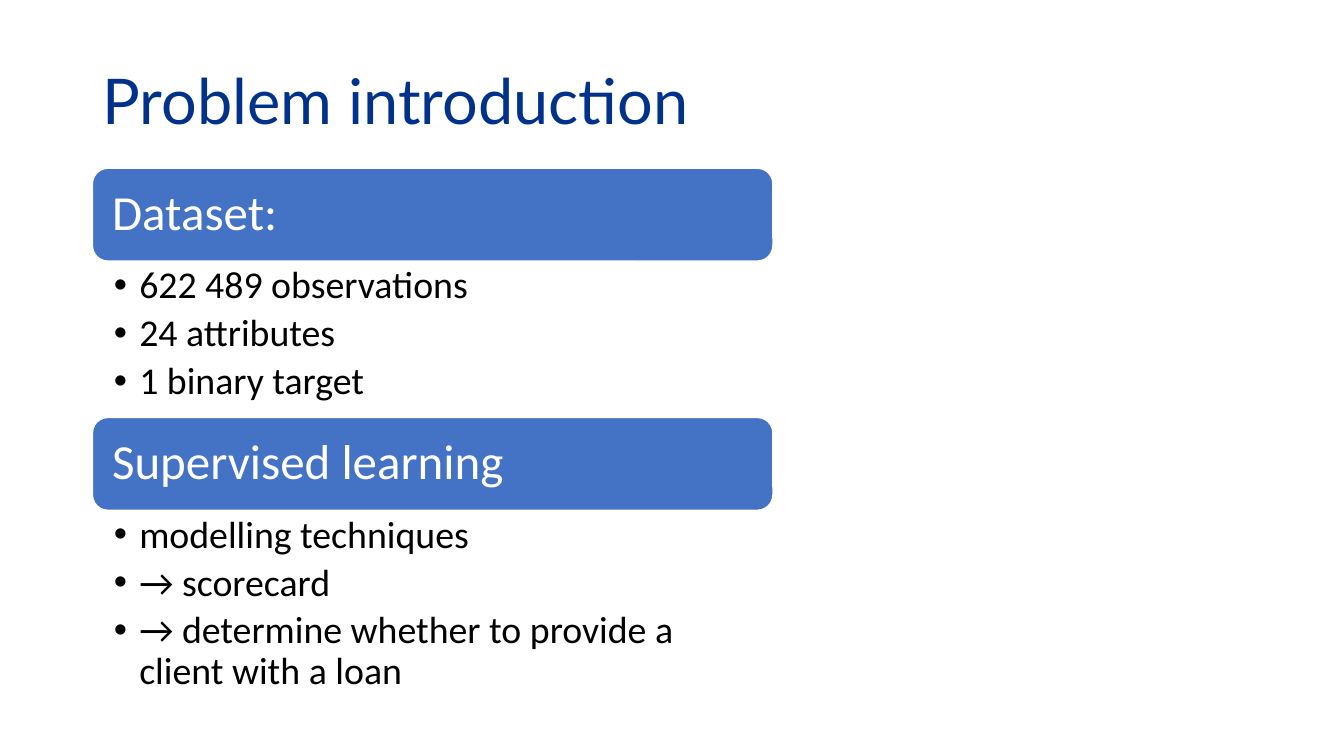
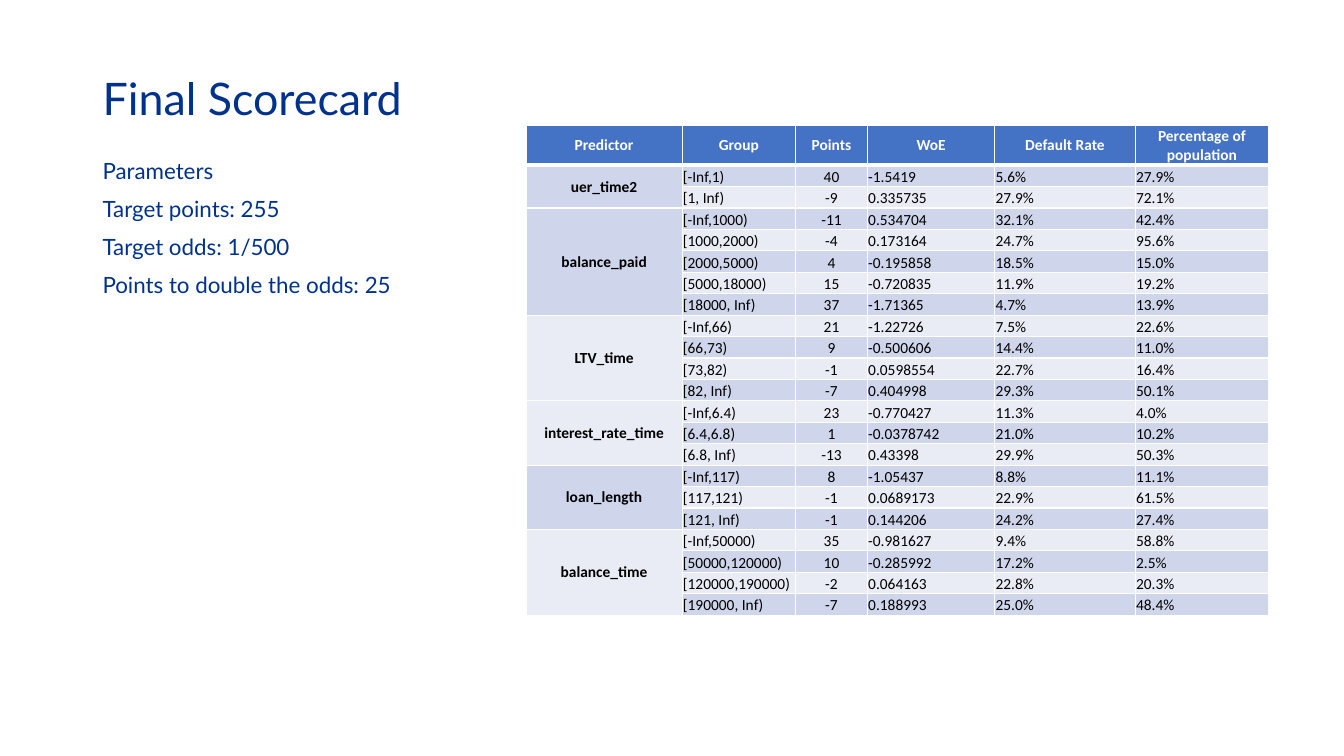
import pptx
import pptx.util
import pptx.dml.color
import pptx.enum.shapes
import pptx.enum.text
import pptx.oxml
import pptx.oxml.ns

Cm = pptx.util.Cm
Pt = pptx.util.Pt
ALIGN = pptx.enum.text.PP_ALIGN
ANCHOR = pptx.enum.text.MSO_ANCHOR

NAVY, BLUE, WHITE, BLACK = "00328C", "4472C4", "FFFFFF", "000000"
BANDS = ("E9EBF5", "CFD5EA")
HEAD_FONT, BODY_FONT = "Lato", "Calibri"

SECTIONS = [
    ("Dataset:", 3.94,
     ["622 489 observations", "24 attributes", "1 binary target"]),
    ("Supervised learning", 4.93,
     ["modelling techniques", "→ scorecard",
      "→ determine whether to provide a client with a loan"]),
]

PARAMETERS = ["Parameters", "Target points: 255", "Target odds: 1/500",
              "Points to double the odds: 25"]

HEADERS = ["Predictor", "Group", "Points", "WoE", "Default Rate",
           "Percentage of population"]
COLUMN_WIDTHS = [3.93, 2.86, 1.81, 3.21, 3.54, 3.36]
POINTS_COLUMN = 2

SCORECARD = {
    "uer_time2": [
        ("[-Inf,1)", "40", "-1.5419", "5.6%", "27.9%"),
        ("[1, Inf)", "-9", "0.335735", "27.9%", "72.1%"),
    ],
    "balance_paid": [
        ("[-Inf,1000)", "-11", "0.534704", "32.1%", "42.4%"),
        ("[1000,2000)", "-4", "0.173164", "24.7%", "95.6%"),
        ("[2000,5000)", "4", "-0.195858", "18.5%", "15.0%"),
        ("[5000,18000)", "15", "-0.720835", "11.9%", "19.2%"),
        ("[18000, Inf)", "37", "-1.71365", "4.7%", "13.9%"),
    ],
    "LTV_time": [
        ("[-Inf,66)", "21", "-1.22726", "7.5%", "22.6%"),
        ("[66,73)", "9", "-0.500606", "14.4%", "11.0%"),
        ("[73,82)", "-1", "0.0598554", "22.7%", "16.4%"),
        ("[82, Inf)", "-7", "0.404998", "29.3%", "50.1%"),
    ],
    "interest_rate_time": [
        ("[-Inf,6.4)", "23", "-0.770427", "11.3%", "4.0%"),
        ("[6.4,6.8)", "1", "-0.0378742", "21.0%", "10.2%"),
        ("[6.8, Inf)", "-13", "0.43398", "29.9%", "50.3%"),
    ],
    "loan_length": [
        ("[-Inf,117)", "8", "-1.05437", "8.8%", "11.1%"),
        ("[117,121)", "-1", "0.0689173", "22.9%", "61.5%"),
        ("[121, Inf)", "-1", "0.144206", "24.2%", "27.4%"),
    ],
    "balance_time": [
        ("[-Inf,50000)", "35", "-0.981627", "9.4%", "58.8%"),
        ("[50000,120000)", "10", "-0.285992", "17.2%", "2.5%"),
        ("[120000,190000)", "-2", "0.064163", "22.8%", "20.3%"),
        ("[190000, Inf)", "-7", "0.188993", "25.0%", "48.4%"),
    ],
}


def rgb(color):
    return pptx.dml.color.RGBColor.from_string(color)


def place(sp, left, top, width, height):
    sp.left, sp.top, sp.width, sp.height = map(Cm, (left, top, width, height))


def set_insets(target, left, top, right, bottom):
    target.margin_left, target.margin_top = Cm(left), Cm(top)
    target.margin_right, target.margin_bottom = Cm(right), Cm(bottom)


def format_text(tf, size, font, color, bold=False, align=ALIGN.LEFT,
                spacing=0.9, before=0, after=0):
    for p in tf.paragraphs:
        p.alignment = align
        p.line_spacing = spacing
        p.space_before, p.space_after = Pt(before), Pt(after)
        for r in p.runs:
            r.font.size, r.font.name, r.font.bold = Pt(size), font, bold
            r.font.color.rgb = rgb(color)


def set_bullets(tf, indent=0, char=None):
    for p in tf.paragraphs:
        pPr = p._p.get_or_add_pPr()
        pPr.set("marL", str(Cm(indent)))
        pPr.set("indent", str(-Cm(indent)))
        tag = f'a:buChar char="{char}"' if char else "a:buNone"
        pPr.append(pptx.oxml.parse_xml(
            f'<{tag} {pptx.oxml.ns.nsdecls("a")}/>'))


def fill_title(s, text, size, box):
    sp = s.shapes.title
    place(sp, *box)
    tf = sp.text_frame
    tf.text = text
    tf.auto_size = pptx.enum.text.MSO_AUTO_SIZE.NONE
    tf.vertical_anchor = ANCHOR.BOTTOM
    format_text(tf, size, HEAD_FONT, NAVY)


def fill_list(sp, lines, box):
    place(sp, *box)
    tf = sp.text_frame
    tf.text = "\n".join(lines)
    tf.auto_size = pptx.enum.text.MSO_AUTO_SIZE.NONE
    tf.vertical_anchor = ANCHOR.TOP
    return tf


def add_section(s, body, heading, lines, left, top, width, bar, height):
    sp = s.shapes.add_shape(
        pptx.enum.shapes.MSO_SHAPE.ROUNDED_RECTANGLE,
        Cm(left), Cm(top), Cm(width), Cm(bar))
    sp.shadow.inherit = False
    sp.fill.solid()
    sp.fill.fore_color.rgb = rgb(BLUE)
    sp.line.color.rgb = rgb(WHITE)
    sp.line.width = Pt(1)
    tf = sp.text_frame
    tf.text = heading
    tf.vertical_anchor = ANCHOR.MIDDLE
    set_insets(tf, 0.38, 0.38, 0.38, 0.38)
    format_text(tf, 35, BODY_FONT, WHITE)

    tf = fill_list(body, lines, (left, top + bar, width, height))
    set_insets(tf, 0.54, 0.13, 0.69, 0.13)
    format_text(tf, 27, BODY_FONT, BLACK, after=5)
    set_bullets(tf, 0.64, "•")


def set_borders(cell, bottom):
    tcPr = cell._tc.get_or_add_tcPr()
    for side, width in (("L", 1), ("R", 1), ("T", 1), ("B", bottom)):
        tcPr.append(pptx.oxml.parse_xml(
            f'<a:ln{side} {pptx.oxml.ns.nsdecls("a")} w="{Pt(width)}">'
            f'<a:solidFill><a:srgbClr val="{WHITE}"/></a:solidFill>'
            f'</a:ln{side}>'))


def fill_cell(cell, text, fill, color=BLACK, bold=False, align=ALIGN.LEFT,
              anchor=ANCHOR.BOTTOM, bottom=1):
    cell.text_frame.text = text
    cell.vertical_anchor = anchor
    set_insets(cell, 0.02, 0.02, 0.02, 0)
    format_text(cell.text_frame, 11, BODY_FONT, color, bold, align, spacing=1)
    set_borders(cell, bottom)
    cell.fill.solid()
    cell.fill.fore_color.rgb = rgb(fill)


def add_scorecard(s, left, top, header_height, row_height):
    count = sum(map(len, SCORECARD.values()))
    frame = s.shapes.add_table(
        count + 1, len(HEADERS), Cm(left), Cm(top),
        Cm(sum(COLUMN_WIDTHS)), Cm(header_height + count * row_height))
    table = frame.table
    for column, width in zip(table.columns, COLUMN_WIDTHS):
        column.width = Cm(width)
    for i, row in enumerate(table.rows):
        row.height = Cm(row_height if i else header_height)
    for j, header in enumerate(HEADERS):
        fill_cell(table.cell(0, j), header, BLUE, WHITE, True, ALIGN.CENTER,
                  ANCHOR.MIDDLE, 3)

    i = 1
    for predictor, groups in SCORECARD.items():
        first = table.cell(i, 0)
        first.merge(table.cell(i + len(groups) - 1, 0))
        fill_cell(first, predictor, BANDS[i % 2], bold=True,
                  align=ALIGN.CENTER, anchor=ANCHOR.MIDDLE)
        for values in groups:
            for j, value in enumerate(values, 1):
                align = ALIGN.CENTER if j == POINTS_COLUMN else ALIGN.LEFT
                fill_cell(table.cell(i, j), value, BANDS[i % 2], align=align)
            i += 1


def build_introduction(prs):
    s = prs.slides.add_slide(prs.slide_layouts[3])
    fill_title(s, "Problem introduction", 45, (2.33, 1.27, 23.52, 2.33))
    top, bar = 4.24, 2.34
    for idx, (heading, height, lines) in enumerate(SECTIONS, 1):
        add_section(s, s.placeholders[idx], heading, lines,
                    2.33, top, 17.15, bar, height)
        top += bar + height


def build_scorecard(prs):
    s = prs.slides.add_slide(prs.slide_layouts[1])
    fill_title(s, "Final Scorecard", 32, (2.33, 1.27, 10.92, 2))
    tf = fill_list(s.placeholders[1], PARAMETERS, (2.33, 3.9, 10.92, 10.6))
    format_text(tf, 16, HEAD_FONT, NAVY, before=10)
    set_bullets(tf)
    add_scorecard(s, 13.26, 3.16, 1, 0.54)


def main():
    prs = pptx.Presentation()
    prs.slide_width, prs.slide_height = Cm(33.87), Cm(19.05)
    build_introduction(prs)
    build_scorecard(prs)
    prs.save("out.pptx")


if __name__ == "__main__":
    main()
